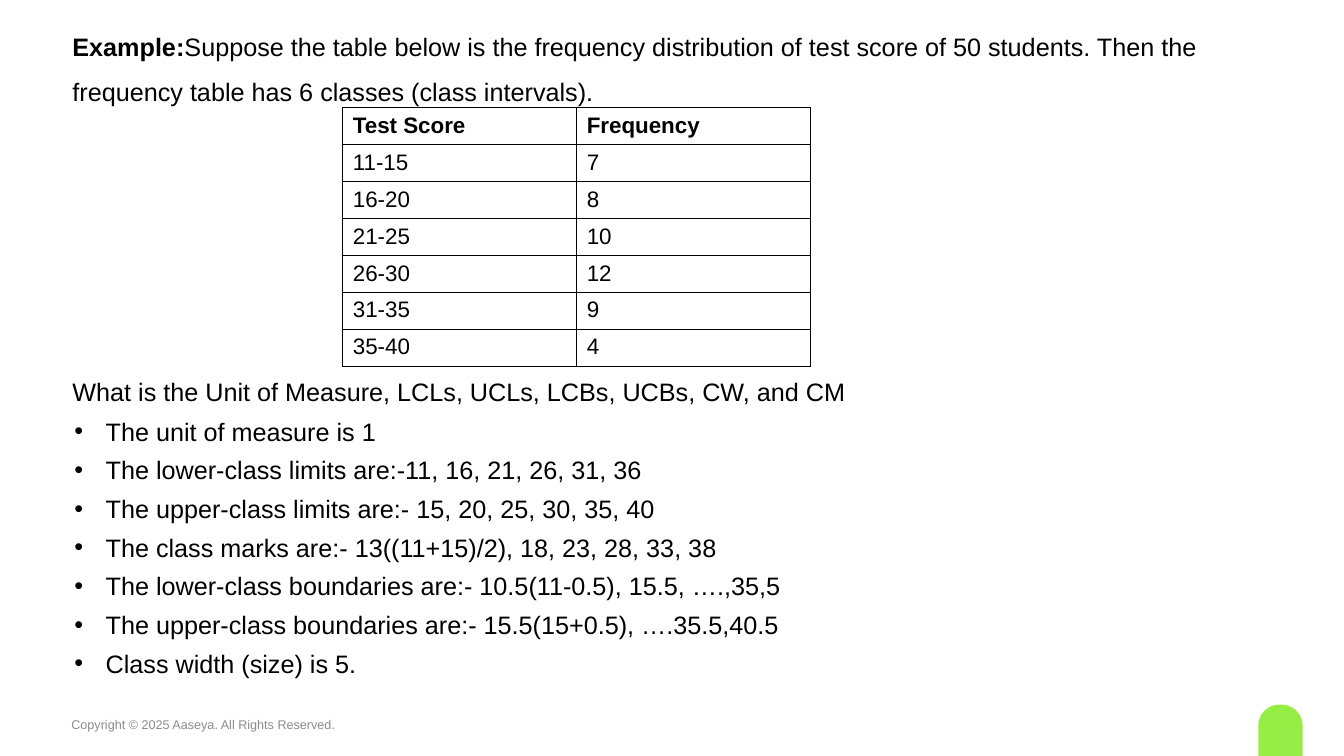
from pptx import Presentation
from pptx.dml.color import RGBColor
from pptx.enum.shapes import MSO_SHAPE as Shape
from pptx.enum.text import MSO_ANCHOR as Anchor
from pptx.oxml import parse_xml
from pptx.oxml.ns import nsdecls
from pptx.util import Inches, Pt

BLACK = RGBColor(0x00, 0x00, 0x00)
GREY = RGBColor(0x8C, 0x8C, 0x8C)
GREEN = RGBColor(0x96, 0xED, 0x45)


def write(para, text, size=18, color=BLACK, bold=False, before=0, line=None, bullet=False):
    para.space_before = Pt(before)
    if line:
        para.line_spacing = line
    if bullet:
        props = para._p.get_or_add_pPr()
        props.set("marL", str(Inches(0.33)))
        props.set("indent", str(Inches(-0.31)))
        props.append(parse_xml(f'<a:buFont {nsdecls("a")} typeface="Arial"/>'))
        props.append(parse_xml(f'<a:buChar {nsdecls("a")} char="•"/>'))
    run = para.add_run()
    run.text = text
    font = run.font
    font.name = "Arial"
    font.size = Pt(size)
    font.bold = bold
    font.color.rgb = color


def add_box(left, top, width, height):
    frame = slide.shapes.add_textbox(
        Inches(left), Inches(top), Inches(width), Inches(height)).text_frame
    frame.word_wrap = True
    return frame


deck = Presentation()
deck.slide_width = Inches(13.33)
deck.slide_height = Inches(7.5)
slide = deck.slides.add_slide(deck.slide_layouts[6])

tab = slide.shapes.add_shape(
    Shape.ROUND_2_SAME_RECTANGLE, Inches(12.48), Inches(6.99), Inches(0.44), Inches(0.51))
tab.adjustments[0] = 0.47
tab.shadow.inherit = False
tab.fill.solid()
tab.fill.fore_color.rgb = GREEN
tab.line.fill.background()

footer = add_box(0.61, 6.99, 4.5, 0.4)
footer.vertical_anchor = Anchor.MIDDLE
write(footer.paragraphs[0], "Copyright © 2025 Aaseya. All Rights Reserved.", size=9, color=GREY)

intro = add_box(0.62, 0.11, 12.13, 1).paragraphs[0]
write(intro, "Example:", bold=True, line=1.5)
write(intro, "Suppose the table below is the frequency distribution of test score of 50 students. "
      "Then the frequency table has 6 classes (class intervals).", line=1.5)

answers = [
    "The unit of measure is 1",
    "The lower-class limits are:-11, 16, 21, 26, 31, 36",
    "The upper-class limits are:- 15, 20, 25, 30, 35, 40",
    "The class marks are:- 13((11+15)/2), 18, 23, 28, 33, 38",
    "The lower-class boundaries are:- 10.5(11-0.5), 15.5, ….,35,5",
    "The upper-class boundaries are:- 15.5(15+0.5), ….35.5,40.5",
    "Class width (size) is 5.",
]
body = add_box(0.62, 3.68, 12.13, 3.14)
write(body.paragraphs[0], "What is the Unit of Measure, LCLs, UCLs, LCBs, UCBs, CW, and CM")
for num, answer in enumerate(answers):
    write(body.add_paragraph(), answer, before=6 if num else 7, bullet=True)

scores = [
    ("Test Score", "Frequency"),
    ("11-15", "7"),
    ("16-20", "8"),
    ("21-25", "10"),
    ("26-30", "12"),
    ("31-35", "9"),
    ("35-40", "4"),
]
table = slide.shapes.add_table(
    len(scores), 2, Inches(3.4), Inches(1.07), Inches(4.64), Inches(2.57)).table
table.horz_banding = False
for row, values in enumerate(scores):
    for col, value in enumerate(values):
        cell = table.cell(row, col)
        write(cell.text_frame.paragraphs[0], value, size=16, bold=row == 0)
        props = cell._tc.get_or_add_tcPr()
        for side in ("lnL", "lnR", "lnT", "lnB"):
            props.append(parse_xml(
                f'<a:{side} {nsdecls("a")} w="{Pt(1)}"><a:solidFill>'
                f'<a:srgbClr val="{BLACK}"/></a:solidFill></a:{side}>'))
        cell.fill.background()

deck.save("out.pptx")
